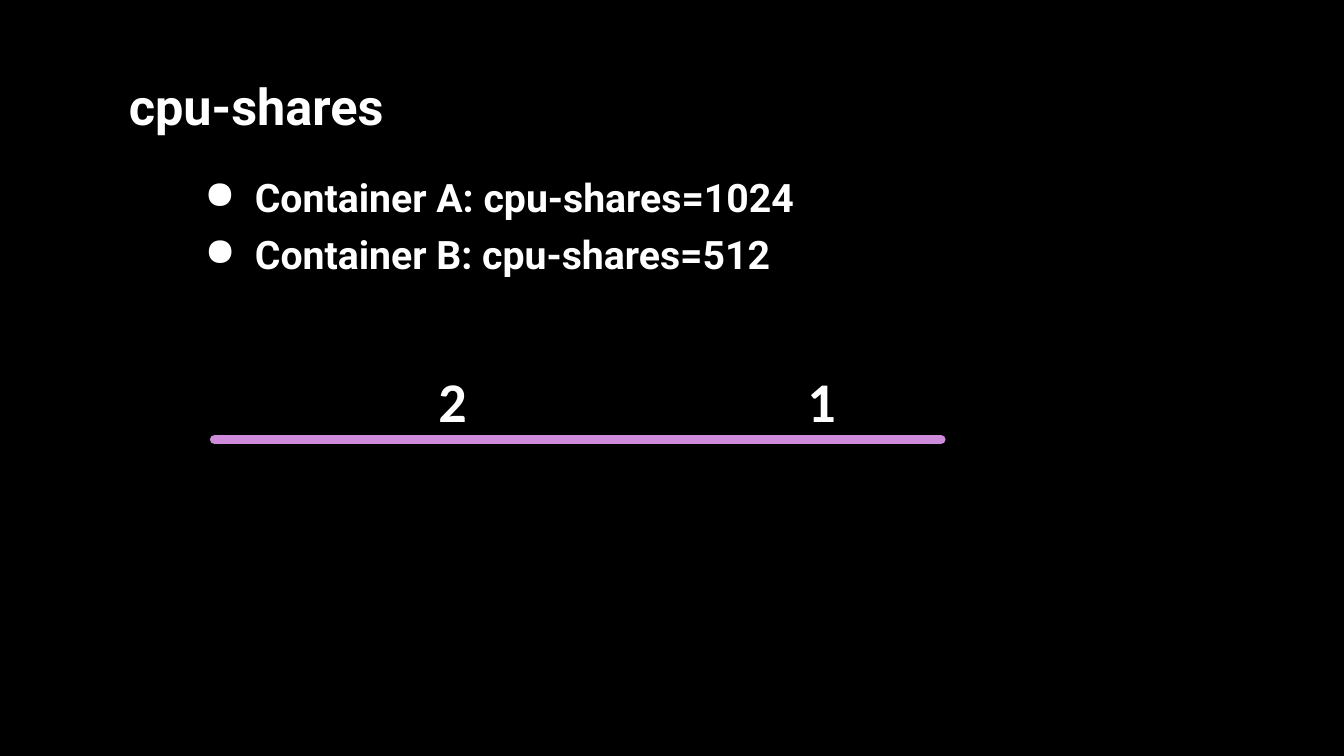
from dataclasses import dataclass

from lxml.etree import SubElement
from pptx import Presentation
from pptx.dml.color import RGBColor
from pptx.enum.shapes import MSO_CONNECTOR
from pptx.enum.text import MSO_AUTO_SIZE
from pptx.oxml.ns import qn
from pptx.slide import Slide
from pptx.util import Inches, Pt

WHITE = "FFFFFF"
BLACK = "000000"
PURPLE = "CD8BDA"
BAR_TOP = 4.36
BULLET_INDENT = 0.5


@dataclass(frozen=True)
class Container:
    setting: str
    width: float
    share: str
    share_left: float
    bar_start: float
    bar_end: float


CONTAINERS = [
    Container("Container A: cpu-shares=1024", 6.77, "2", 4.25, 2.13, 6.97),
    Container("Container B: cpu-shares=512", 6.51, "1", 7.91, 6.97, 9.33),
]


def color(value: str) -> RGBColor:
    return RGBColor.from_string(value)


def add_text(slide: Slide, text: str, *, left: float, top: float, width: float,
             height: float, size: float, font: str = "Roboto",
             bullet: str = "") -> None:
    shape = slide.shapes.add_textbox(
        Inches(left), Inches(top), Inches(width), Inches(height))
    frame = shape.text_frame
    frame.word_wrap = False
    frame.auto_size = MSO_AUTO_SIZE.SHAPE_TO_FIT_TEXT
    paragraph = frame.paragraphs[0]
    run = paragraph.add_run()
    run.text = text
    run.font.name = font
    run.font.size = Pt(size)
    run.font.bold = True
    run.font.color.rgb = color(WHITE)
    if bullet:
        properties = paragraph._p.get_or_add_pPr()
        properties.set("marL", str(Inches(BULLET_INDENT)))
        properties.set("indent", str(-Inches(BULLET_INDENT)))
        SubElement(properties, qn("a:buChar")).set("char", bullet)


def add_bar(slide: Slide, start: float, end: float) -> None:
    connector = slide.shapes.add_connector(
        MSO_CONNECTOR.STRAIGHT, Inches(start), Inches(BAR_TOP),
        Inches(end), Inches(BAR_TOP))
    connector.line.color.rgb = color(PURPLE)
    connector.line.width = Pt(7)
    connector.line._get_or_add_ln().set("cap", "rnd")
    SubElement(connector._element.spPr, qn("a:effectLst"))


def main() -> None:
    presentation = Presentation()
    presentation.slide_width = Inches(13.33)
    presentation.slide_height = Inches(7.5)
    slide = presentation.slides.add_slide(presentation.slide_layouts[6])
    background = slide.background.fill
    background.solid()
    background.fore_color.rgb = color(BLACK)

    add_text(slide, "cpu-shares", left=1.18, top=0.7, width=2.99, height=0.71,
             size=36)
    for index, container in enumerate(CONTAINERS):
        add_text(slide, container.setting, left=1.93, top=1.67 + 0.57 * index,
                 width=container.width, height=0.57, size=28, bullet="●")
        add_bar(slide, container.bar_start, container.bar_end)
        add_text(slide, container.share, left=container.share_left, top=3.59,
                 width=0.49, height=0.77, size=40, font="Calibri")

    presentation.save("out.pptx")


if __name__ == "__main__":
    main()
